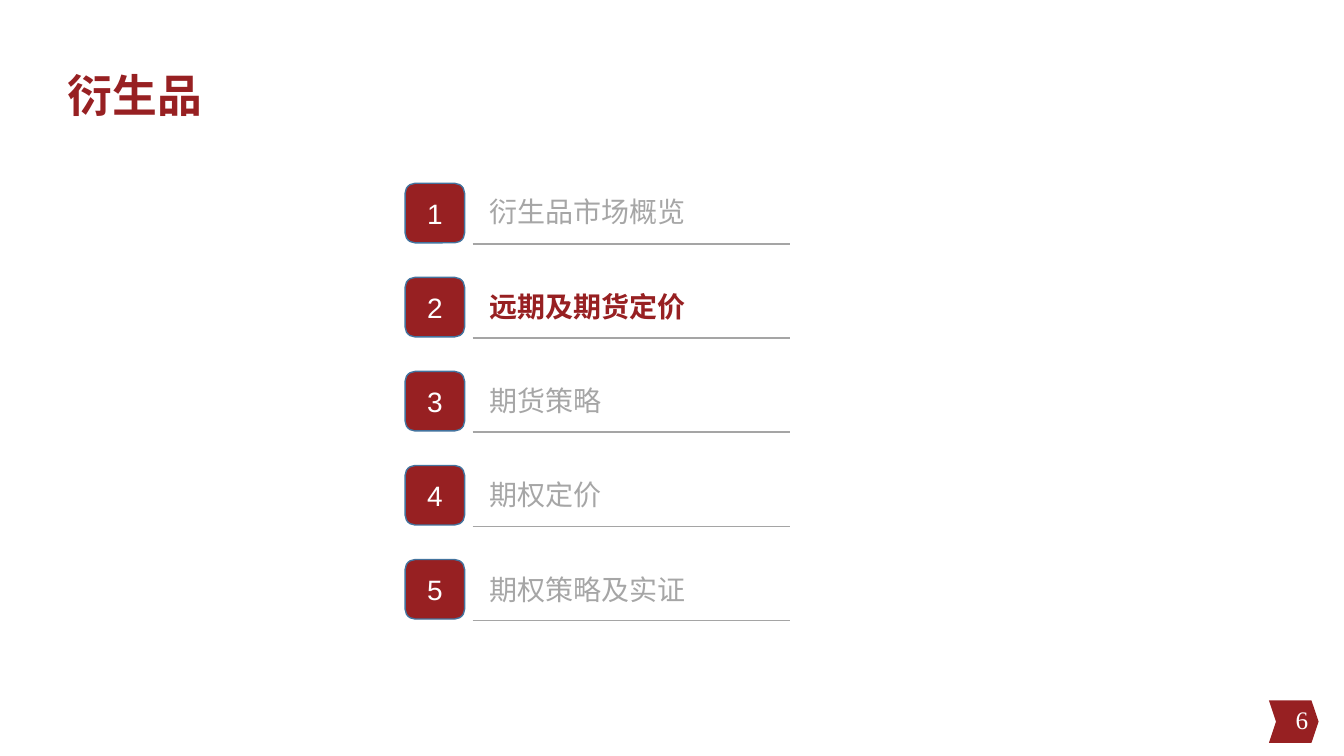
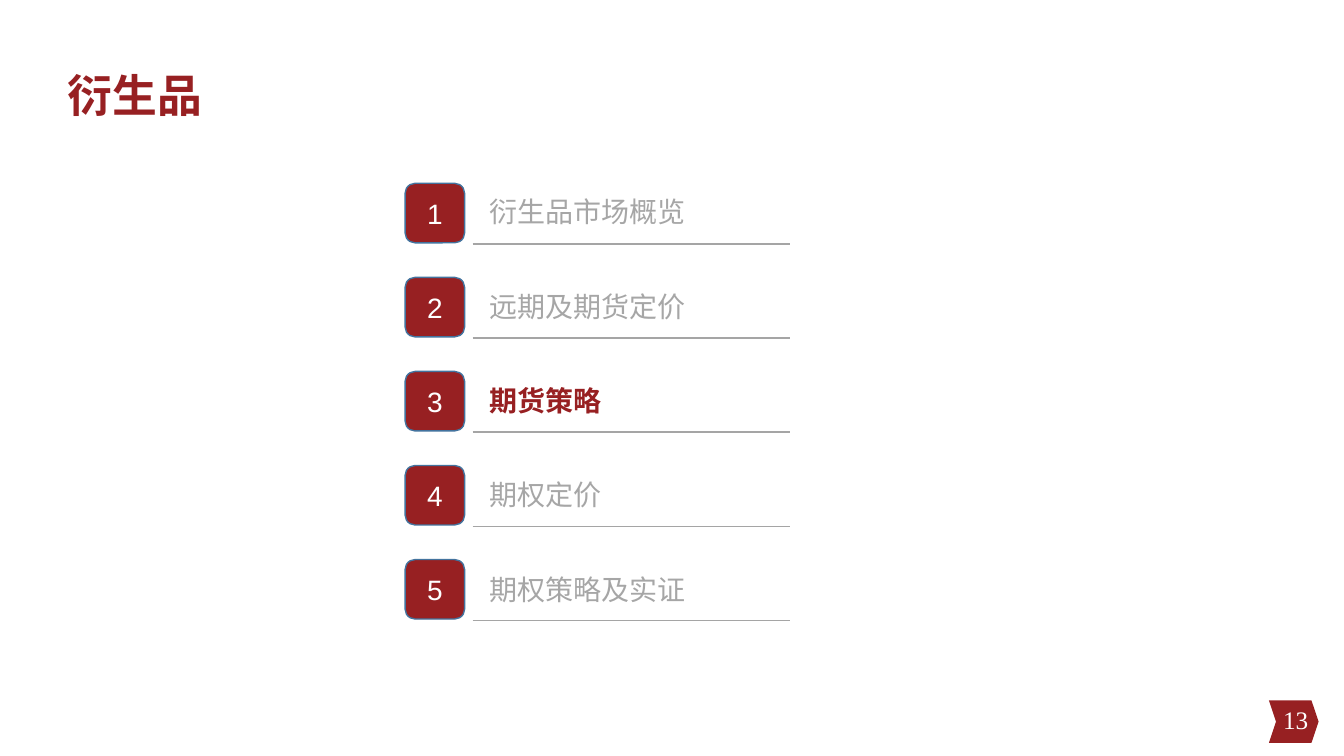
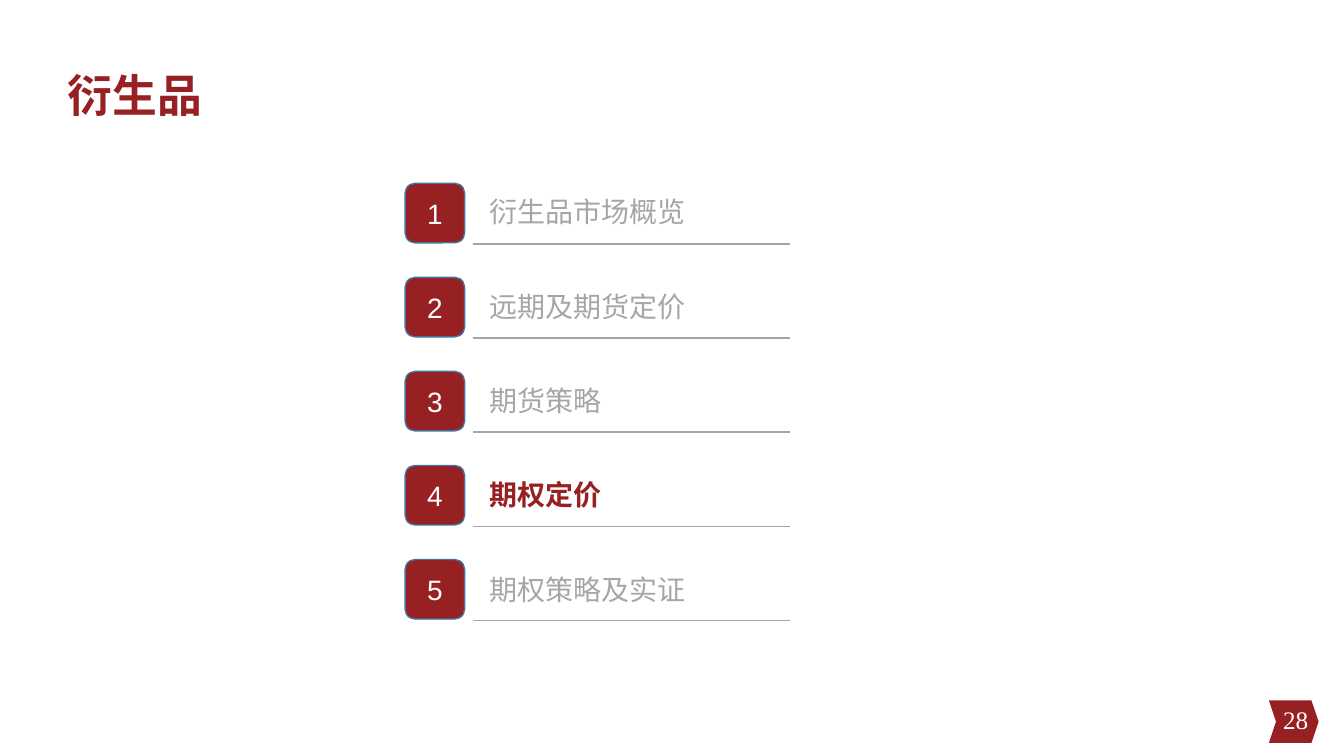
import pptx
import pptx.dml.color
import pptx.enum.lang
import pptx.enum.shapes
import pptx.enum.text
import pptx.oxml.ns
import pptx.util
from lxml import etree
from pptx.util import Cm

COLORS = {
    "crimson": "972022",
    "badge_edge": "43739E",
    "rule": "A5A5A5",
    "muted": "A6A6A6",
    "white": "FFFFFF",
}
SERIF, SANS = "Times New Roman", "Arial"
CHAPTERS = ["衍生品市场概览", "远期及期货定价", "期货策略", "期权定价", "期权策略及实证"]
AGENDAS = [(6, 2), (13, 3), (28, 4)]  # page number, current chapter

BADGE_LEFT, BADGE_TOP, BADGE_SIZE, BADGE_PITCH = 10.21, 4.62, 1.5, 2.37
LABEL_LEFT, LABEL_TOP, LABEL_PITCH = 12.09, 4.78, 2.38
RULE_LEFT, RULE_RIGHT, RULE_GAP = 11.91, 19.91, 0.03

SHAPE = pptx.enum.shapes.MSO_SHAPE
ALIGN = pptx.enum.text.PP_ALIGN
ANCHOR = pptx.enum.text.MSO_ANCHOR


def rgb(name):
    return pptx.dml.color.RGBColor.from_string(COLORS[name])


def write(shape, text, size=20, color="white", font=SERIF, bold=False,
          align=ALIGN.LEFT, anchor=ANCHOR.TOP):
    """Put one formatted paragraph into a shape or text box."""
    frame = shape.text_frame
    frame.word_wrap = True
    frame.vertical_anchor = anchor
    paragraph = frame.paragraphs[0]
    paragraph.alignment = align
    run = paragraph.add_run()
    run.text = text
    run.font.size = pptx.util.Pt(size)
    run.font.name = font
    run.font.bold = bold
    run.font.color.rgb = rgb(color)
    run.font.language_id = pptx.enum.lang.MSO_LANGUAGE_ID.SIMPLIFIED_CHINESE


deck = pptx.Presentation()
deck.slide_width, deck.slide_height = Cm(33.87), Cm(19.05)

for page, current in AGENDAS:
    slide = deck.slides.add_slide(deck.slide_layouts[6])
    shapes = slide.shapes

    page_flag = shapes.add_shape(SHAPE.CHEVRON, Cm(31.98), Cm(17.65), Cm(1.25), Cm(1.07))
    page_flag.adjustments[0] = 0.167
    page_flag.shadow.inherit = False
    page_flag.fill.solid()
    page_flag.fill.fore_color.rgb = rgb("crimson")
    page_flag.line.fill.background()
    page_number = shapes.add_textbox(Cm(25.6), Cm(17.63), Cm(7.62), Cm(1.02))
    write(page_number, str(page), size=18, align=ALIGN.RIGHT, anchor=ANCHOR.MIDDLE)

    heading = shapes.add_textbox(Cm(1.45), Cm(1.57), Cm(29.21), Cm(2.16))
    write(heading, "衍生品", size=32, color="crimson", bold=True)

    for index, chapter in enumerate(CHAPTERS):
        badge_top = BADGE_TOP + index * BADGE_PITCH
        badge = shapes.add_shape(SHAPE.ROUNDED_RECTANGLE, Cm(BADGE_LEFT), Cm(badge_top),
                                 Cm(BADGE_SIZE), Cm(BADGE_SIZE))
        badge.shadow.inherit = False
        badge.fill.solid()
        badge.fill.fore_color.rgb = rgb("crimson")
        badge.line.color.rgb = rgb("badge_edge")
        badge.line.width = pptx.util.Pt(1)
        write(badge, str(index + 1), font=SANS, align=ALIGN.CENTER, anchor=ANCHOR.MIDDLE)

        rule_y = Cm(badge_top + BADGE_SIZE + RULE_GAP)
        rule = shapes.add_connector(pptx.enum.shapes.MSO_CONNECTOR.STRAIGHT,
                                    Cm(RULE_LEFT), rule_y, Cm(RULE_RIGHT), rule_y)
        rule.line.color.rgb = rgb("rule")
        rule.line.width = pptx.util.Pt(1)
        etree.SubElement(rule._element.spPr, pptx.oxml.ns.qn("a:effectLst"))

        label = shapes.add_textbox(Cm(LABEL_LEFT), Cm(LABEL_TOP + index * LABEL_PITCH),
                                   Cm(12.37), Cm(1.11))
        is_current = index + 1 == current
        write(label, chapter, color="crimson" if is_current else "muted", bold=is_current)
        label.text_frame.auto_size = pptx.enum.text.MSO_AUTO_SIZE.SHAPE_TO_FIT_TEXT

deck.save("out.pptx")
